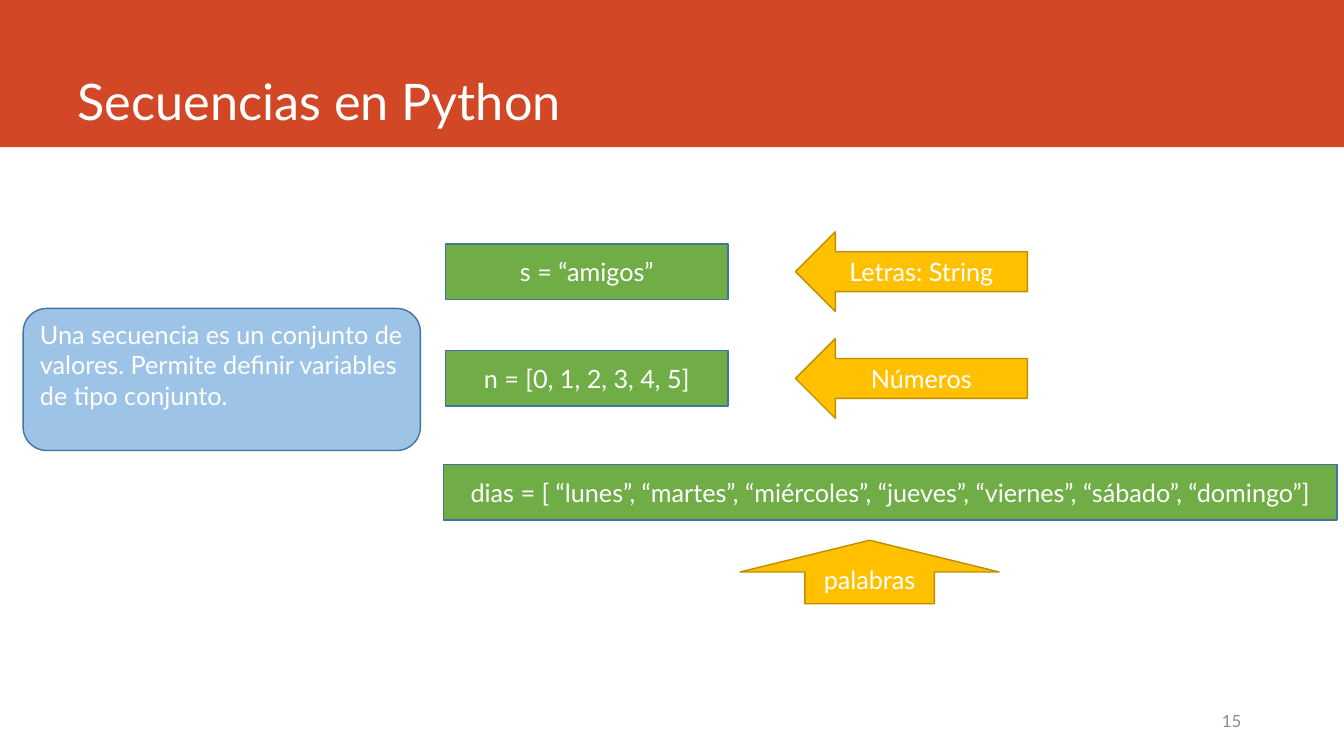
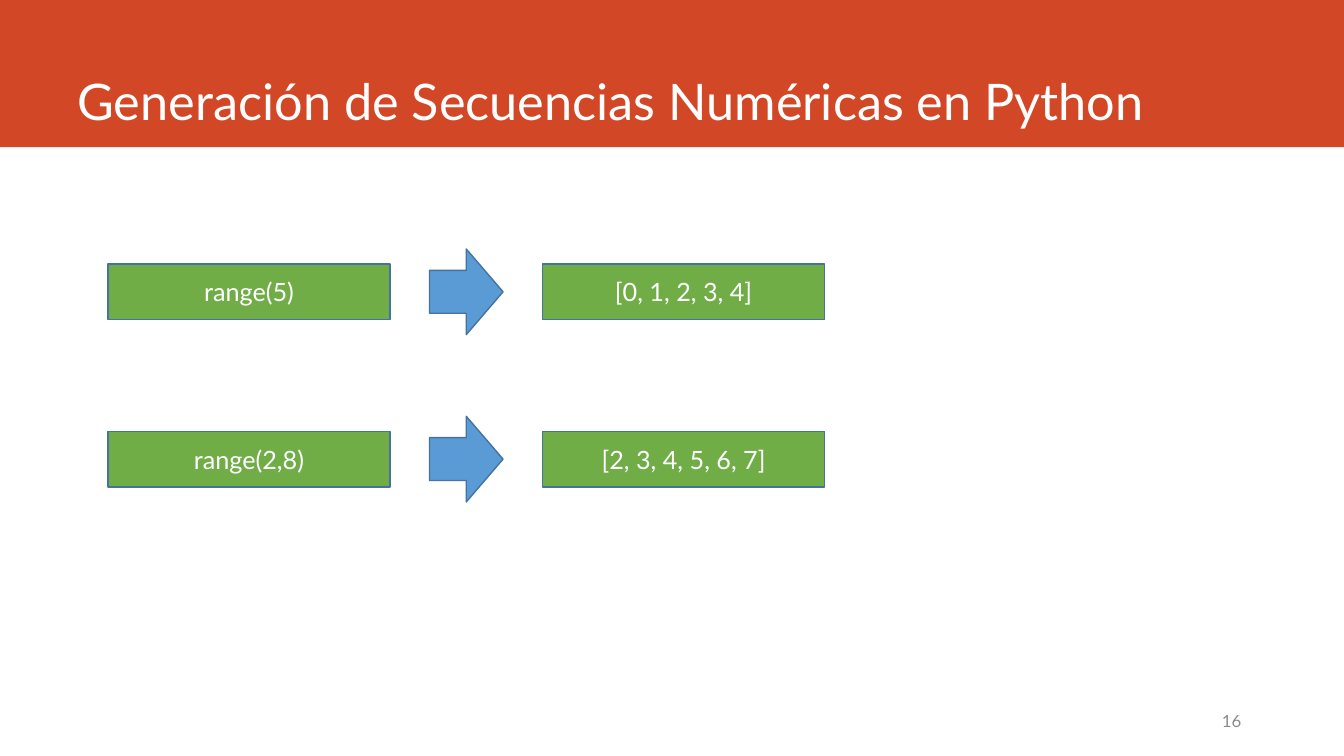
"""Build two slides about sequences in Python."""
from dataclasses import dataclass

from pptx import Presentation
from pptx.dml.color import RGBColor
from pptx.enum.shapes import MSO_SHAPE as SHAPE
from pptx.enum.text import MSO_ANCHOR as ANCHOR, PP_ALIGN as ALIGN
from pptx.util import Inches, Pt

FONT = "Lato"
WHITE, RED, GRAY = "FFFFFF", "D24726", "8C8C8C"
GREEN, GOLD, GOLD_LINE = "70AD47", "FFC000", "BD8E00"
BLUE, LIGHT_BLUE, BLUE_LINE = "5B9BD5", "9DC3E6", "43739E"
WIDTH, HEIGHT = 13.33, 7.5
BOX_W, BOX_H = 2.8, 0.55


@dataclass(frozen=True)
class Style:
    kind: SHAPE
    fill: str
    line: str | None = BLUE_LINE


@dataclass(frozen=True)
class Block:
    style: Style
    x: float
    y: float
    w: float = BOX_W
    h: float = BOX_H
    text: str = ""


BAND = Style(SHAPE.RECTANGLE, RED, None)
CODE = Style(SHAPE.RECTANGLE, GREEN)
NOTE = Style(SHAPE.ROUNDED_RECTANGLE, LIGHT_BLUE)
LEFT = Style(SHAPE.LEFT_ARROW, GOLD, GOLD_LINE)
UP = Style(SHAPE.UP_ARROW, GOLD, GOLD_LINE)
RIGHT = Style(SHAPE.RIGHT_ARROW, BLUE)


def rgb(color: str) -> RGBColor:
    return RGBColor.from_string(color)


def write(sp, text: str, *, size=18, color=WHITE, align=ALIGN.CENTER,
          anchor=ANCHOR.MIDDLE, top=0.05) -> None:
    tf = sp.text_frame
    tf.word_wrap = True
    tf.vertical_anchor = anchor
    tf.margin_top = Inches(top)
    p = tf.paragraphs[0]
    p.alignment = align
    r = p.add_run()
    r.text = text
    r.font.name = FONT
    r.font.size = Pt(size)
    r.font.color.rgb = rgb(color)


def add_block(s, block: Block, **fmt):
    sp = s.shapes.add_shape(block.style.kind, Inches(block.x), Inches(block.y),
                            Inches(block.w), Inches(block.h))
    sp.shadow.inherit = False
    sp.fill.solid()
    sp.fill.fore_color.rgb = rgb(block.style.fill)
    if block.style.line:
        sp.line.color.rgb = rgb(block.style.line)
        sp.line.width = Pt(1)
    else:
        sp.line.fill.background()
    if block.text:
        write(sp, block.text, **fmt)
    return sp


def add_text(s, x: float, y: float, w: float, h: float, text: str, **fmt) -> None:
    write(s.shapes.add_textbox(Inches(x), Inches(y), Inches(w), Inches(h)), text, **fmt)


def add_slide(prs, title: str, number: int):
    s = prs.slides.add_slide(prs.slide_layouts[6])
    add_block(s, Block(BAND, 0, 0, WIDTH, 1.46))
    add_text(s, 0.67, 0, 11.75, 1.34, title, size=36, align=ALIGN.LEFT, anchor=ANCHOR.BOTTOM)
    add_text(s, 8.83, 6.95, 3.58, 0.4, str(number), size=12, color=GRAY, align=ALIGN.RIGHT)
    return s


def build_sequences(prs) -> None:
    s = add_slide(prs, "Secuencias en Python", 15)
    note = "Una secuencia es un conjunto de valores. Permite definir variables de tipo conjunto."
    add_block(s, Block(NOTE, 0.23, 3.06, 3.94, 1.41, note),
              align=ALIGN.LEFT, anchor=ANCHOR.TOP, top=0.04)
    arrow_h = 0.79
    rows = [("s = “amigos”", "Letras: String"), ("n = [0, 1, 2, 3, 4, 5]", "Números")]
    for i, (code, label) in enumerate(rows):
        y = 2.42 + i * 1.06
        add_block(s, Block(CODE, 4.42, y, text=code))
        add_block(s, Block(LEFT, 7.89, y + (BOX_H - arrow_h) / 2, 2.3, arrow_h, label))
    days = "dias = [ “lunes”, “martes”, “miércoles”, “jueves”, “viernes”, “sábado”, “domingo”]"
    add_block(s, Block(CODE, 4.4, 4.61, 8.86, text=days))
    add_block(s, Block(UP, 7.34, 5.36, 2.57, 0.63, "palabras"))


def build_ranges(prs) -> None:
    s = add_slide(prs, "Generación de Secuencias Numéricas en Python", 16)
    left, gap, arrow_w, arrow_h = 1.07, 0.39, 0.73, 0.85
    arrow_x = left + BOX_W + gap
    rows = [("range(5)", "[0, 1, 2, 3, 4]"), ("range(2,8)", "[2, 3, 4, 5, 6, 7]")]
    for i, (call, result) in enumerate(rows):
        y = 2.62 + i * 1.66
        add_block(s, Block(CODE, left, y, text=call))
        add_block(s, Block(RIGHT, arrow_x, y + (BOX_H - arrow_h) / 2, arrow_w, arrow_h))
        add_block(s, Block(CODE, arrow_x + arrow_w + gap, y, text=result))


def main() -> None:
    prs = Presentation()
    prs.slide_width, prs.slide_height = Inches(WIDTH), Inches(HEIGHT)
    build_sequences(prs)
    build_ranges(prs)
    prs.save("out.pptx")


if __name__ == "__main__":
    main()
